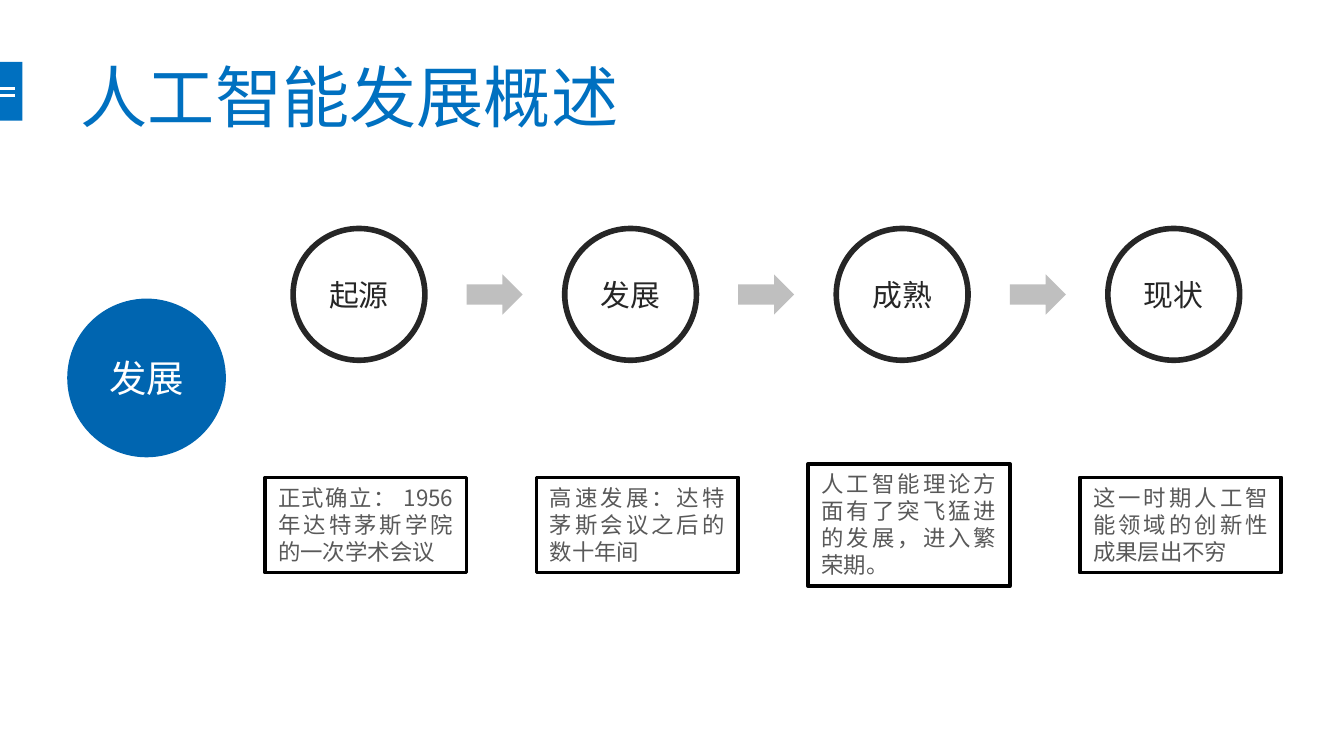
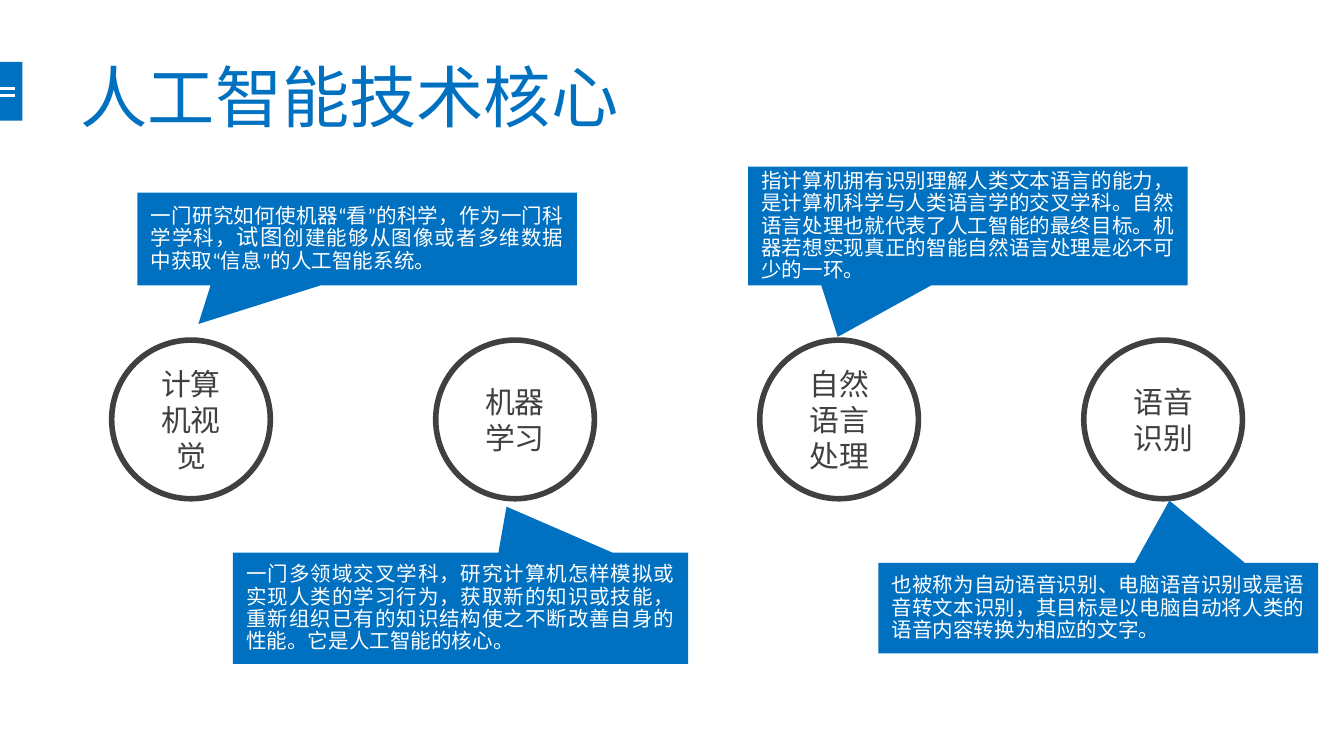
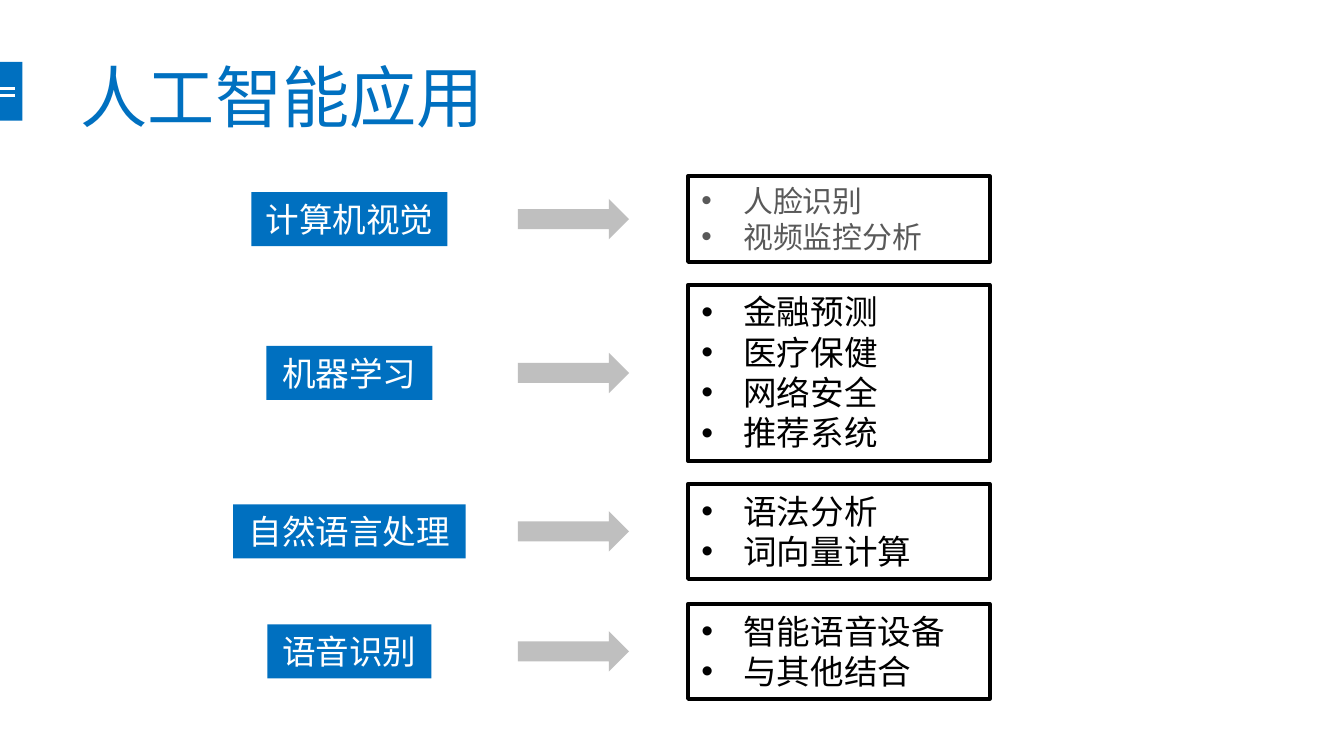
from pptx import Presentation
from pptx.util import Pt
from pptx.dml.color import RGBColor
from pptx.enum.shapes import MSO_CONNECTOR, MSO_SHAPE as SHAPE
from pptx.enum.text import MSO_ANCHOR as ANCHOR, MSO_AUTO_SIZE as AUTO, PP_ALIGN as ALIGN
from pptx.oxml.ns import qn
from lxml import etree

BLUE = RGBColor(0x00, 0x70, 0xC0)
DEEP_BLUE = RGBColor(0x00, 0x65, 0xB0)
INK = RGBColor(0x26, 0x26, 0x26)
DARK_GREY = RGBColor(0x40, 0x40, 0x40)
TEXT_GREY = RGBColor(0x59, 0x59, 0x59)
ARROW_GREY = RGBColor(0xBF, 0xBF, 0xBF)
BLACK = RGBColor(0, 0, 0)
WHITE = RGBColor(0xFF, 0xFF, 0xFF)
BODY = "Calibri"
CJK = "Noto Sans CJK SC"


def add_box(shapes, kind, x, y, w, h, fill=None, line=None, weight=2):
    sp = shapes.add_shape(kind, Pt(x), Pt(y), Pt(w), Pt(h))
    sp.shadow.inherit = False
    if fill is None:
        sp.fill.background()
    else:
        sp.fill.solid()
        sp.fill.fore_color.rgb = fill
    if line is None:
        sp.line.fill.background()
    else:
        sp.line.color.rgb = line
        sp.line.width = Pt(weight)
    sp.text_frame.word_wrap = True
    sp.text_frame.vertical_anchor = ANCHOR.MIDDLE
    return sp


def add_run(p, text, size, color, align=ALIGN.CENTER, font=BODY):
    p.alignment = align
    r = p.add_run()
    r.text = text
    r.font.size = Pt(size)
    r.font.color.rgb = color
    r.font.name = font
    etree.SubElement(r.font._element, qn("a:ea"), typeface=BODY)


prs = Presentation()
prs.slide_width, prs.slide_height = Pt(720), Pt(405)
layout = prs.slide_layouts[5]

# Slides with their titles
slides = []
for title in ("人工智能发展概述", "人工智能技术核心", "人工智能应用"):
    s = prs.slides.add_slide(layout)
    sp = s.shapes.title
    sp.left, sp.top, sp.width, sp.height = Pt(36), Pt(34.5), Pt(600), Pt(33)
    tf = sp.text_frame
    tf.auto_size = AUTO.NONE
    tf.vertical_anchor = ANCHOR.MIDDLE
    add_run(tf.paragraphs[0], title, 36, BLUE, ALIGN.LEFT)
    slides.append(s)
history, core, uses = slides

# Blue tab with two white lines, moved to the shared layout
tab = [add_box(history.shapes, SHAPE.RECTANGLE, 0, 33.2, 12, 31.5, BLUE)]
for y in (47.5, 51.1):
    rule = history.shapes.add_connector(MSO_CONNECTOR.STRAIGHT, 0, Pt(y), Pt(8), Pt(y))
    rule.line.color.rgb = WHITE
    rule.line.width = Pt(1.5)
    etree.SubElement(rule._element.spPr, qn("a:effectLst"))
    tab.append(rule)
for part in tab:
    layout.shapes._spTree.append(part._element)

# Slide 1: topic circle
sp = add_box(history.shapes, SHAPE.OVAL, 36, 160, 85, 85, DEEP_BLUE)
add_run(sp.text_frame.paragraphs[0], "发展", 20, WHITE)

# Slide 1: stages, each with its note, joined by arrows
stages = [
    ("起源", "正式确立： 1956 年达特茅斯学院的一次学术会议", 3, CJK),
    ("发展", "高速发展：达特茅斯会议之后的数十年间", 3, CJK),
    ("成熟", "人工智能理论方面有了突飞猛进的发展，进入繁荣期。", 4, CJK),
    ("现状", "这一时期人工智能领域的创新性成果层出不穷", 3, BODY),
]
for i, (stage, note, lines, font) in enumerate(stages):
    x = 157 + 145.5 * i
    sp = add_box(history.shapes, SHAPE.OVAL, x, 122.4, 70.6, 70.6, None, INK, 3)
    add_run(sp.text_frame.paragraphs[0], stage, 16, INK)
    if i < len(stages) - 1:
        add_box(history.shapes, SHAPE.RIGHT_ARROW, x + 93, 147, 30, 21.6, ARROW_GREY)
    h = 7.2 + 14.6 * lines
    sp = add_box(history.shapes, SHAPE.RECTANGLE, x - 15, 281.3 - h / 2, 108, h, WHITE, BLACK)
    sp.text_frame.vertical_anchor = ANCHOR.TOP
    sp.text_frame.auto_size = AUTO.SHAPE_TO_FIT_TEXT
    add_run(sp.text_frame.paragraphs[0], note, 12, TEXT_GREY, ALIGN.JUSTIFY, font)

# Slide 2: technology circles
for i, name in enumerate(("计算机视觉", "机器学习", "自然语言处理", "语音识别")):
    sp = add_box(core.shapes, SHAPE.OVAL, 59.8 + 173.6 * i, 182.2, 85, 85, None, DARK_GREY, 3)
    add_run(sp.text_frame.paragraphs[0], name, 16, DARK_GREY)

# Slide 2: callouts as place, pointer and runs with their sizes
callouts = [
    ((73.6, 103.2, 235.5, 49.7), (-0.361, 0.916),
     [("一门研究如何使机器“看”的科学，作为一门科学学科，", 11), ("试图", 12),
      ("创建能够从图像或者多维数据中获取“信息”的人工智能系统。", 11)]),
    ((124.8, 296, 243.8, 59.6), (0.101, -0.912),
     [("一门多领域交叉学科，研究计算机怎样模拟或实现人类的学习行为，获取新的知识或技能，"
       "重新组织已有的知识结构使之不断改善自身的性能。它是人工智能的核心。", 11)]),
    ((400.8, 89.3, 235.5, 63.6), (-0.296, 0.934),
     [("指计算机拥有识别理解人类文本语言的能力，是计算机科学与人类语言学的交叉学科。"
       "自然语言处理也就代表了人工智能的最终目标。"
       "机器若想实现真正的智能自然语言处理是必不可少的一环。", 11)]),
    ((470.6, 301.5, 235.5, 48.5), (0.162, -1.187),
     [("也被称为自动语音识别、电脑语音识别或是语音转文本识别，"
       "其目标是以电脑自动将人类的语音内容转换为相应的文字。", 11)]),
]
for place, pointer, runs in callouts:
    sp = add_box(core.shapes, SHAPE.RECTANGULAR_CALLOUT, *place, BLUE)
    sp.adjustments[0], sp.adjustments[1] = pointer
    p = sp.text_frame.paragraphs[0]
    p.line_spacing = Pt(12)
    for text, size in runs:
        add_run(p, text, size, WHITE, ALIGN.JUSTIFY)

# Slide 3: one group per technology: label, arrow, bulleted uses
rows = [
    ("计算机视觉", 105, 117.4, 46, 16, TEXT_GREY, CJK, ["人脸识别", "视频监控分析"]),
    ("机器学习", 89, 199.8, 94.5, 18, BLACK, BODY,
     ["金融预测", "医疗保健", "网络安全", "推荐系统"]),
    ("自然语言处理", 124.6, 284.7, 51, 18, BLACK, BODY, ["语法分析", "词向量计算"]),
    ("语音识别", 88, 349, 51, 18, BLACK, BODY, ["智能语音设备", "与其他结合"]),
]
for name, w, mid, h, size, color, font, items in rows:
    shapes = uses.shapes.add_group_shape().shapes
    sp = add_box(shapes, SHAPE.RECTANGLE, 187.2 - w / 2, mid - 14.5, w, 29, BLUE)
    sp.text_frame.word_wrap = False
    sp.text_frame.vertical_anchor = ANCHOR.TOP
    sp.text_frame.auto_size = AUTO.SHAPE_TO_FIT_TEXT
    add_run(sp.text_frame.paragraphs[0], name, 18, WHITE)

    add_box(shapes, SHAPE.RIGHT_ARROW, 277.4, mid - 10.8, 59.6, 21.6, ARROW_GREY)

    sp = add_box(shapes, SHAPE.RECTANGLE, 368.6, mid - h / 2, 161.6, h, WHITE, BLACK)
    tf = sp.text_frame
    tf.vertical_anchor = ANCHOR.TOP
    tf.auto_size = AUTO.SHAPE_TO_FIT_TEXT
    for i, item in enumerate(items):
        p = tf.paragraphs[0] if i == 0 else tf.add_paragraph()
        add_run(p, item, size, color, ALIGN.LEFT, font)
        pPr = p._p.get_or_add_pPr()
        pPr.set("marL", str(Pt(22.5)))
        pPr.set("indent", str(-Pt(22.5)))
        etree.SubElement(pPr, qn("a:buFont"), typeface="Arial")
        etree.SubElement(pPr, qn("a:buChar"), char="•")

prs.save("out.pptx")
